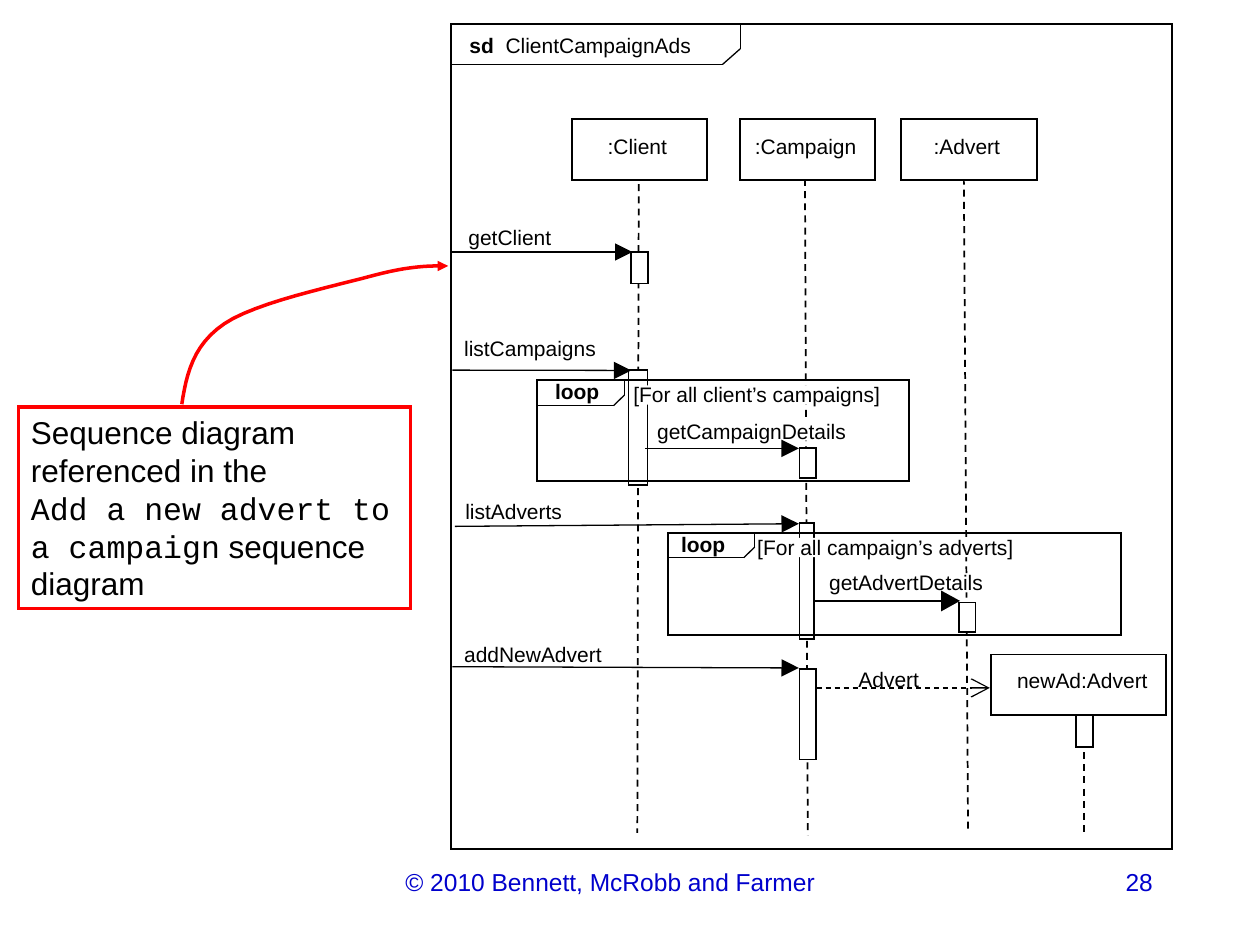
from pptx import Presentation
from pptx.dml.color import RGBColor
from pptx.enum.dml import MSO_LINE
from pptx.enum.shapes import MSO_CONNECTOR, MSO_SHAPE
from pptx.enum.text import MSO_ANCHOR, PP_ALIGN
from pptx.oxml.ns import qn
from pptx.util import Pt
from lxml import etree

STRAIGHT = MSO_CONNECTOR.STRAIGHT
RECTANGLE = MSO_SHAPE.RECTANGLE
DASH = MSO_LINE.DASH
TOP = MSO_ANCHOR.TOP
LEFT, CENTER, RIGHT = PP_ALIGN.LEFT, PP_ALIGN.CENTER, PP_ALIGN.RIGHT
COLORS = {name: RGBColor.from_string(value) for name, value in {
    "ink": "000000", "paper": "FFFFFF", "accent": "FF0000", "footer": "0000CC"}.items()}
THIN, MEDIUM, THICK = 0.74, 0.99, 2.01
UNITS = 100

presentation = Presentation()
presentation.slide_width, presentation.slide_height = Pt(720), Pt(540)
slide = presentation.slides.add_slide(presentation.slide_layouts[6])
shapes = slide.shapes


def add_rectangle(left, top, width, height, fill="paper", line="ink", weight=MEDIUM):
    shape = shapes.add_shape(RECTANGLE, Pt(left), Pt(top), Pt(width), Pt(height))
    shape.shadow.inherit = False
    if fill:
        shape.fill.solid()
        shape.fill.fore_color.rgb = COLORS[fill]
    else:
        shape.fill.background()
    if line:
        shape.line.color.rgb = COLORS[line]
        shape.line.width = Pt(weight)
        etree.SubElement(shape.line._get_or_add_ln(), qn("a:miter"), lim="800000")
    else:
        shape.line.fill.background()
    return shape


def add_line(x1, y1, x2, y2, weight=THIN, dashed=False, head=None):
    connector = shapes.add_connector(STRAIGHT, Pt(x1), Pt(y1), Pt(x2), Pt(y2))
    connector.line.color.rgb = COLORS["ink"]
    connector.line.width = Pt(weight)
    if dashed:
        connector.line.dash_style = DASH
    if head:
        etree.SubElement(connector.line._get_or_add_ln(), qn("a:tailEnd"),
                         type=head, w="lg", len="lg")
    etree.SubElement(connector._element.spPr, qn("a:effectLst"))


lifelines = [(365, 105.3, 364.2, 476), (550.8, 101.5, 553.2, 476),
             (460, 102.3, 461.6, 477.4), (619.3, 409, 619.3, 477.4)]
for lifeline in lifelines:
    add_line(*lifeline, weight=MEDIUM, dashed=True)

activations = [(359.2, 211.5, 10.8, 65.8), (360.7, 144.2, 9.5, 17.8),
               (456.9, 382.3, 9.5, 51.8), (456.9, 299, 8.3, 66.2),
               (456.9, 256.2, 9.5, 17), (548, 344.3, 9.5, 17), (615, 408.7, 9.5, 18)]
object_boxes = [(326.7, 68, 77.3, 35), (422.8, 68, 77.3, 35),
                (514.8, 68, 78, 35), (566.3, 374, 100, 34.7)]
for bounds in activations + object_boxes:
    add_rectangle(*bounds)

frames = [(257.8, 13.7, 412, 471.6, 165.2, 23.1, 10.1, 8.9),
          (306.8, 217.2, 212.6, 57.6, 50.1, 14.6, 6.3, 6.1),
          (381.6, 304.7, 259.2, 58.2, 49.7, 14, 6.3, 6.1)]
for left, top, width, height, tab_width, tab_height, notch, rise in frames:
    add_rectangle(left, top, width, height, fill=None)
    corner, right = left + tab_width - notch, left + tab_width
    bottom, shoulder = top + tab_height, top + tab_height - rise
    add_line(left, bottom, corner, bottom)
    add_line(right, top, right, shoulder)
    add_line(right, shoulder, corner, bottom)

label_masks = [(362.2, 220.3), (538.6, 327.6), (454.3, 307.4),
               (541.4, 307.4), (452.2, 220.3), (454.3, 240.8)]
for left, top in label_masks:
    add_rectangle(left, top, 19.4, 11, line=None)

messages = [(257.8, 144, 361.4, 144), (258.5, 211.5, 360.7, 211.7),
            (368.6, 256.2, 456.5, 256.2), (260, 300.8, 456.5, 299.3),
            (258.5, 381, 456.5, 381.7)]
for message in messages:
    add_line(*message, head="triangle")
add_line(466.6, 393.1, 565.6, 393.1, dashed=True, head="arrow")
add_line(465.1, 343.3, 540, 343.3, weight=MEDIUM)
builder = shapes.build_freeform(537.8 * UNITS, 349.4 * UNITS, scale=Pt(1) / UNITS)
builder.add_line_segments([(548.6 * UNITS, 343.4 * UNITS), (537.8 * UNITS, 337.5 * UNITS)])
arrowhead = builder.convert_to_shape()
arrowhead.shadow.inherit = False
arrowhead.fill.solid()
arrowhead.fill.fore_color.rgb = COLORS["ink"]
arrowhead.line.fill.background()

labels = [
    (347.2, 76.5, 40, ":Client"), (431.4, 76.5, 66, ":Campaign"),
    (533.5, 76.5, 46, ":Advert"), (581.2, 381.5, 82, "newAd:Advert"),
    (267.7, 128.6, 56, "getClient"), (265.2, 191.9, 84, "listCampaigns"),
    (265.9, 284.8, 66, "listAdverts"), (265.2, 366.6, 90, "addNewAdvert"),
    (490.6, 381, 42, "Advert"), (375.5, 239.4, 120, "getCampaignDetails"),
    (473.8, 325.7, 100, "getAdvertDetails"),
    (361.9, 218, 160, "[For all client’s campaigns]"),
    (432.7, 305.4, 168, "[For all campaign’s adverts]"),
    (268.2, 18.7, 140, "sd  |ClientCampaignAds"),
    (317.2, 216.6, 32, "loop|"), (389.2, 304, 32, "loop|")]
text_items = [(left, top, width, 14.4, text, 12, "ink", LEFT)
              for left, top, width, text in labels]
text_items += [
    (191.3, 495.4, 315, 30, "© 2010 Bennett, McRobb and Farmer", 14, "footer", CENTER),
    (523.4, 495.4, 135.4, 30, "28", 14, "footer", RIGHT)]
for left, top, width, height, text, size, color, alignment in text_items:
    frame = shapes.add_textbox(Pt(left), Pt(top), Pt(width), Pt(height)).text_frame
    frame.word_wrap = True
    frame.margin_left = frame.margin_right = Pt(0)
    frame.margin_top = frame.margin_bottom = Pt(0)
    paragraph = frame.paragraphs[0]
    paragraph.alignment = alignment
    bold_part, separator, plain_part = text.rpartition("|")
    for part, bold in ((bold_part, True), (plain_part, False)):
        if part:
            run = paragraph.add_run()
            run.text = part
            run.font.name, run.font.size, run.font.bold = "Arial", Pt(size), bold
            run.font.color.rgb = COLORS[color]

callout = add_rectangle(10.6, 232.6, 224, 115.2, line="accent", weight=THICK)
fill_color = callout._element.spPr.find(qn("a:solidFill"))[0]
etree.SubElement(fill_color, qn("a:alpha"), val="74000")
frame = callout.text_frame
frame.word_wrap = True
frame.vertical_anchor = TOP
frame.margin_left = frame.margin_right = Pt(7.2)
frame.margin_top = frame.margin_bottom = Pt(3.6)
callout_text = [[("Sequence diagram referenced in the", "Arial")],
                [("Add a new advert to a campaign", "Courier New"),
                 (" sequence diagram", "Arial")]]
frame.add_paragraph()
for paragraph, parts in zip(frame.paragraphs, callout_text):
    paragraph.alignment = LEFT
    for text, font in parts:
        run = paragraph.add_run()
        run.text = text
        run.font.name, run.font.size = font, Pt(18)
        run.font.color.rgb = COLORS["ink"]

curve_points = [(103.9, 231), (106.6, 213.8), (110.2, 197.3), (128.2, 185),
                (146.2, 172.8), (191.5, 163.4), (212.4, 157.7),
                (234, 151.9), (244.8, 151.9), (256.1, 152)]
STEPS = 12
start_x, start_y = curve_points[0]
builder = shapes.build_freeform(start_x * UNITS, start_y * UNITS, scale=Pt(1) / UNITS)
vertices = []
for start in range(0, len(curve_points) - 1, 3):
    controls = curve_points[start:start + 4]
    for step in range(1, STEPS + 1):
        t = step / STEPS
        weights = ((1 - t) ** 3, 3 * t * (1 - t) ** 2, 3 * t ** 2 * (1 - t), t ** 3)
        vertices.append([UNITS * sum(w * point[axis] for w, point in zip(weights, controls))
                         for axis in (0, 1)])
builder.add_line_segments(vertices, close=False)
pointer = builder.convert_to_shape()
pointer.shadow.inherit = False
pointer.fill.background()
pointer.line.color.rgb = COLORS["accent"]
pointer.line.width = Pt(THICK)
etree.SubElement(pointer.line._get_or_add_ln(), qn("a:tailEnd"), type="triangle")

presentation.save("out.pptx")
